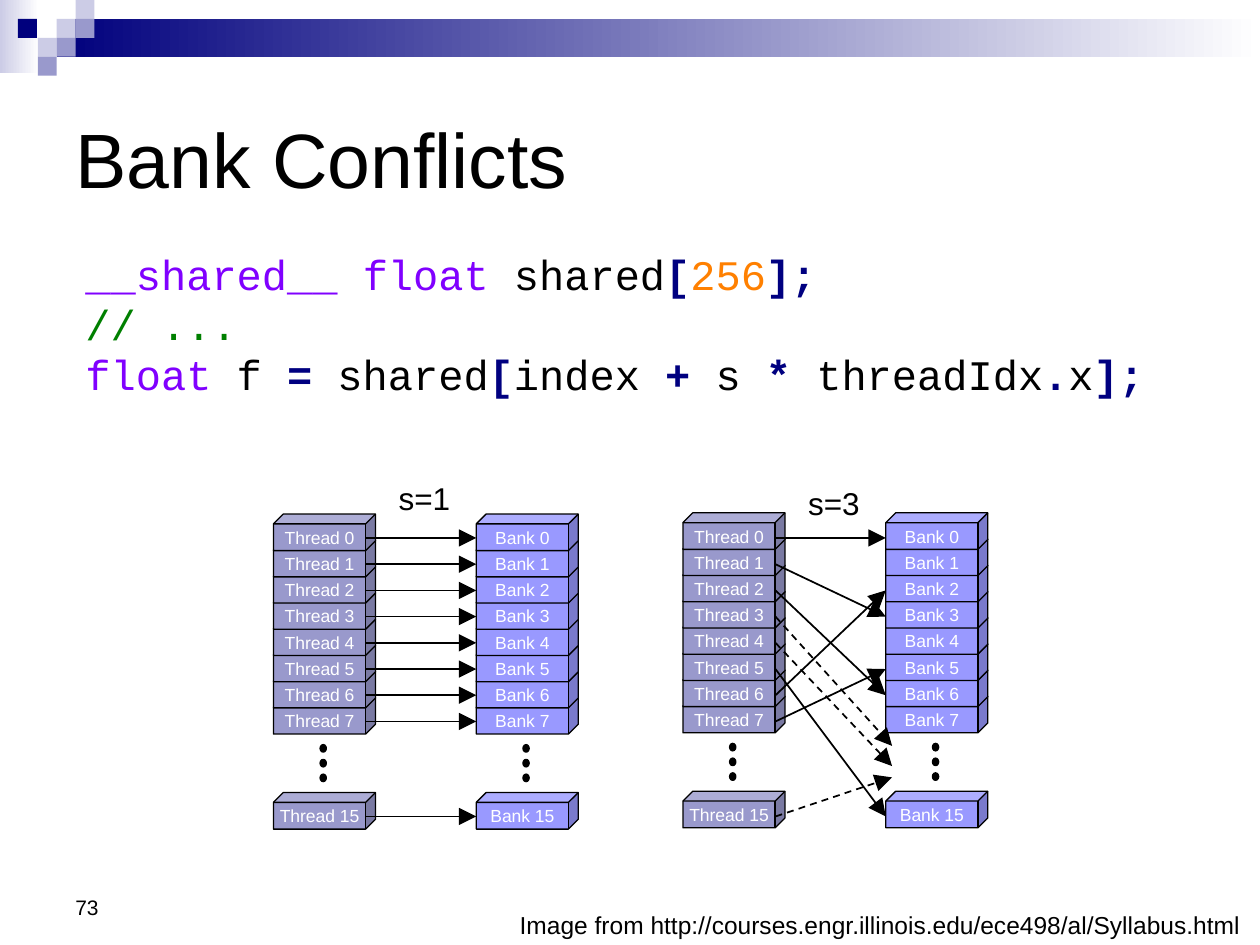
from lxml.etree import SubElement
from pptx import Presentation
from pptx.dml.color import RGBColor
from pptx.enum.dml import MSO_LINE
from pptx.enum.shapes import MSO_CONNECTOR, MSO_SHAPE
from pptx.enum.text import MSO_ANCHOR, PP_ALIGN
from pptx.oxml.ns import qn
from pptx.util import Inches, Pt

NAVY, LILAC, PALE = "00007D", "9999CC", "CCCCE6"
BLACK, WHITE, BANK = "000000", "FFFFFF", "9999FF"
KEYWORD, OPERATOR, NUMBER, COMMENT = "8000FF", "000080", "FF8000", "008000"

CODE = [
    [("__shared__ float", KEYWORD), (" shared", BLACK), ("[", OPERATOR),
     ("256", NUMBER), ("];", OPERATOR)],
    [("// ...", COMMENT)],
    [("float", KEYWORD), (" f ", BLACK), ("=", OPERATOR), (" shared", BLACK),
     ("[", OPERATOR), ("index ", BLACK), ("+", OPERATOR), (" s ", BLACK),
     ("*", OPERATOR), (" threadIdx", BLACK), (".", OPERATOR), ("x", BLACK),
     ("];", OPERATOR)],
]
ROWS = [15, 7, 6, 5, 4, 3, 2, 1, 0]
STRIDE_1 = {i: i for i in ROWS}
STRIDE_3 = {0: 0, 1: 3, 2: 6, 5: 15, 6: 2, 7: 5}
UNSHOWN_BANKS = {3: 59.2, 4: 60.8, 15: 61.7}


def rgb(value):
    return RGBColor.from_string(value)


def offset(i):
    return 22.1 if i == 15 else 2.08 * i


def put_text(tf, lines, size=10, color=BLACK, font="Arial", align=PP_ALIGN.LEFT,
             anchor=MSO_ANCHOR.TOP, wrap=True):
    tf.word_wrap = wrap
    tf.vertical_anchor = anchor
    if isinstance(lines, str):
        lines = [[(lines, color)]]
    for n, runs in enumerate(lines):
        p = tf.add_paragraph() if n else tf.paragraphs[0]
        p.alignment = align
        for words, tint in runs:
            r = p.add_run()
            r.text = words
            r.font.name = font
            r.font.size = Pt(size)
            r.font.bold = tint == OPERATOR
            r.font.color.rgb = rgb(tint)


class Deck:
    columns, rows = 100, 75

    def __init__(self):
        self.prs = Presentation()
        self.prs.slide_width, self.prs.slide_height = Inches(10), Inches(7.5)
        self.s = self.prs.slides.add_slide(self.prs.slide_layouts[6])

    def x(self, columns):
        return round(self.prs.slide_width * columns / self.columns)

    def y(self, rows):
        return round(self.prs.slide_height * rows / self.rows)

    def box(self, left, top, width, height):
        return self.x(left), self.y(top), self.x(width), self.y(height)

    def shape(self, kind, *box, fill, outlined=False):
        sp = self.s.shapes.add_shape(kind, *self.box(*box))
        sp.shadow.inherit = False
        if isinstance(fill, tuple):
            sp.fill.gradient()
            sp.fill.gradient_angle = 0
            for stop, color in zip(sp.fill.gradient_stops, fill):
                stop.color.rgb = rgb(color)
        else:
            sp.fill.solid()
            sp.fill.fore_color.rgb = rgb(fill)
        if outlined:
            sp.line.color.rgb = rgb(BLACK)
            sp.line.width = Pt(0.75)
        else:
            sp.line.fill.background()
        return sp

    def text(self, words, *box, **style):
        sp = self.s.shapes.add_textbox(*self.box(*box))
        put_text(sp.text_frame, words, **style)

    def cube(self, words, left, top, fill):
        sp = self.shape(MSO_SHAPE.CUBE, left, top, 8.1, 2.9, fill=fill, outlined=True)
        sp.adjustments[0] = 0.27
        put_text(sp.text_frame, words, color=WHITE, align=PP_ALIGN.CENTER,
                 anchor=MSO_ANCHOR.MIDDLE, wrap=False)

    def arrow(self, x1, y1, x2, y2, dashed=False):
        c = self.s.shapes.add_connector(MSO_CONNECTOR.STRAIGHT, self.x(x1),
                                        self.y(y1), self.x(x2), self.y(y2))
        c.line.color.rgb = rgb(BLACK)
        c.line.width = Pt(1)
        if dashed:
            c.line.dash_style = MSO_LINE.DASH
        SubElement(c.line._get_or_add_ln(), qn("a:tailEnd"),
                   type="triangle", w="lg", len="lg")
        SubElement(c._element.spPr, qn("a:effectLst"))

    def stack(self, name, left, top, fill):
        for i in ROWS:
            self.cube(f"{name} {i}", left, top + offset(i), fill)
        for n in range(3):
            self.shape(MSO_SHAPE.OVAL, left + 3.7, top + 18.3 + 1.17 * n, 0.5, 0.6,
                       fill=BLACK, outlined=True)

    def diagram(self, label, left, top, label_top, targets, unshown):
        bank, middle = left + 16.1, 42.7
        self.stack("Bank", bank, top, BANK)
        self.stack("Thread", left, top, LILAC)
        for i, j in targets.items():
            self.arrow(left + 7.35, middle + offset(i), bank, middle + offset(j))
        for i, end in unshown.items():
            self.arrow(left + 7.35, middle + offset(i), bank + 0.5, end, dashed=True)
        self.text(label, left + 8.95, label_top, 6.1, 4, size=18, wrap=False)

    def header(self):
        self.shape(MSO_SHAPE.RECTANGLE, 0, 0, 3.1, 5.8, fill=(PALE, WHITE))
        self.shape(MSO_SHAPE.RECTANGLE, 4.5, 1.5, 95.5, 3, fill=(NAVY, WHITE))
        for col, row, color in [(3, 1, PALE), (4, 0, PALE), (4, 1, LILAC), (2, 2, PALE),
                                (0.95, 1, NAVY), (3, 2, LILAC), (2, 3, LILAC)]:
            self.shape(MSO_SHAPE.RECTANGLE, 1.5 * col, 1.5 * row, 1.5, 1.5, fill=color)


def main():
    deck = Deck()
    deck.header()
    deck.text("Bank Conflicts", 5, 5, 90, 15, size=44, anchor=MSO_ANCHOR.MIDDLE)
    deck.text(CODE, 5.8, 19.2, 94.2, 16.7, size=24, font="Courier New")
    deck.diagram("s=1", 21.7, 40.8, 37.5, STRIDE_1, {})
    deck.diagram("s=3", 54.2, 40.7, 37.9, STRIDE_3, UNSHOWN_BANKS)
    deck.text("Image from http://courses.engr.illinois.edu/ece498/al/Syllabus.html ",
              0, 71.7, 100, 3.4, size=14, align=PP_ALIGN.RIGHT)
    deck.text("73", 5, 68.3, 23.3, 5.2, size=12, anchor=MSO_ANCHOR.BOTTOM)
    deck.prs.save("out.pptx")


if __name__ == "__main__":
    main()
